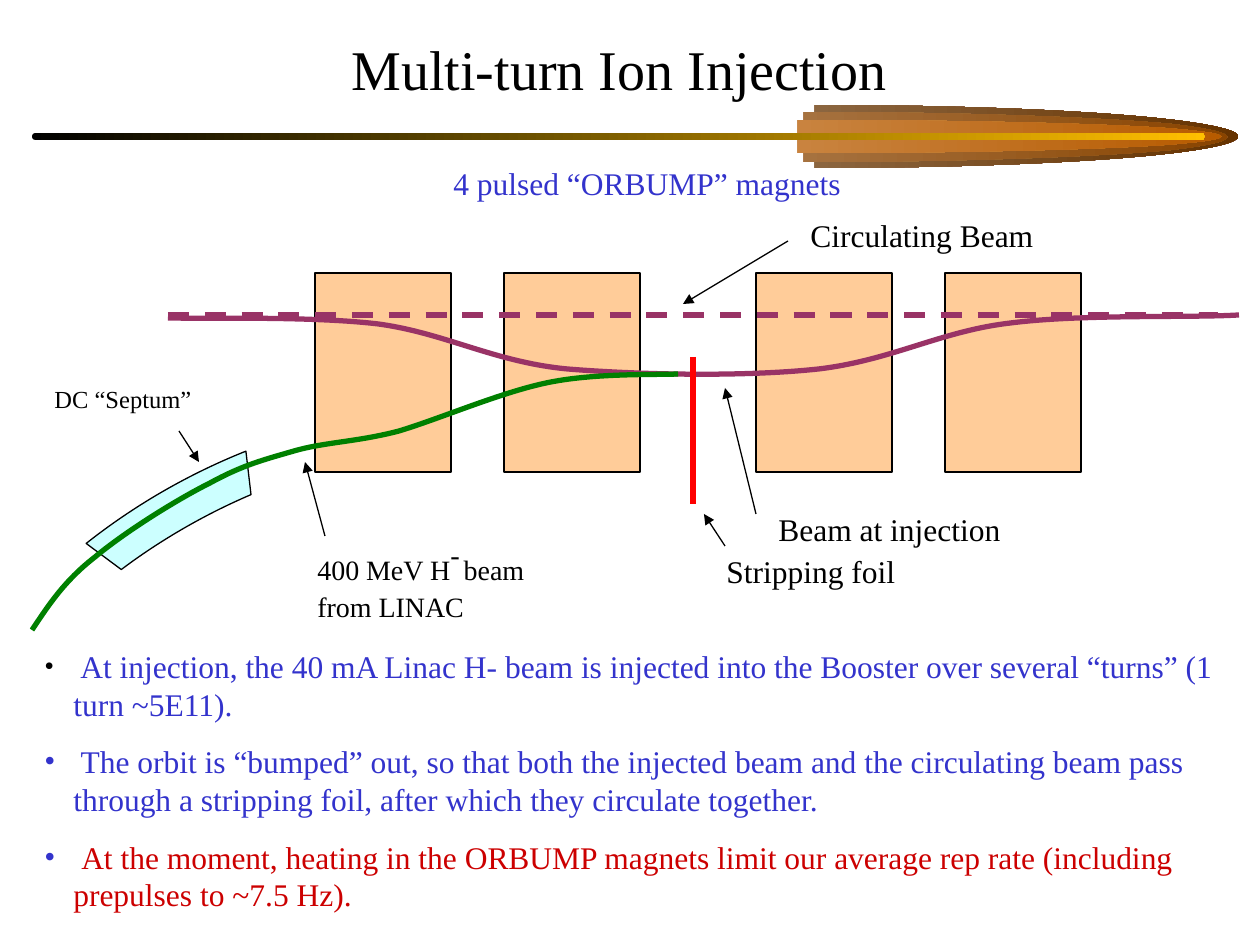
"""Build the multi-turn ion injection slide."""
from typing import NamedTuple

from lxml import etree
from pptx import Presentation, util as u
from pptx.dml.color import RGBColor
from pptx.enum import dml, shapes, text
from pptx.oxml.ns import qn

SCALE = 914400 / 126
FONT = "Times New Roman"
BLACK = RGBColor(0x00, 0x00, 0x00)
BLUE = RGBColor(0x33, 0x33, 0xCC)
RED = RGBColor(0xCC, 0x00, 0x00)
FOIL = RGBColor(0xFF, 0x00, 0x00)
PLUM = RGBColor(0x99, 0x33, 0x66)
GREEN = RGBColor(0x00, 0x80, 0x00)
PEACH = RGBColor(0xFF, 0xCC, 0x99)
CYAN = RGBColor(0xCC, 0xFF, 0xFF)
GOLD = RGBColor(0xFF, 0xBF, 0x00)

Point = tuple[int, int]


class Comet(NamedTuple):
    left: int
    top: int
    high: int
    pale: RGBColor
    dark: RGBColor


class Label(NamedTuple):
    words: str
    left: int
    top: int
    wide: int
    high: int
    size: int = 18
    color: RGBColor = BLACK


class Line(NamedTuple):
    start: Point
    end: Point
    color: RGBColor = BLACK
    width: float = 0.75
    dash: bool = False
    arrow: bool = True


class Bullet(NamedTuple):
    words: str
    color: RGBColor
    dot: RGBColor
    size: int = 18


COMETS = [
    Comet(815, 105, 63, RGBColor(0xB2, 0x99, 0x80), RGBColor(0x66, 0x33, 0x00)),
    Comet(804, 112, 50, RGBColor(0xC4, 0xA1, 0x80), RGBColor(0x89, 0x44, 0x00)),
    Comet(798, 120, 33, RGBColor(0xDB, 0xAD, 0x80), RGBColor(0xB7, 0x5B, 0x00)),
]
HALF = 424
EDGE = [(0, 0), (151, 0), (291, 0.1), (367, 0.25), (442, 0.42),
        (442, 0.58), (367, 0.75), (291, 0.9), (151, 1), (0, 1)]
MAGNETS = [315, 504, 756, 945]
BUMP = [(168, 318), (203, 319), (311, 316), (378, 324), (445, 333), (494, 362),
        (567, 369), (640, 375), (745, 377), (819, 369), (893, 360), (941, 331),
        (1011, 323), (1081, 314), (1191, 318), (1239, 315)]
LINAC = [(678, 374), (656, 375), (597, 373), (551, 382), (504, 391), (442, 418),
         (399, 431), (357, 442), (325, 442), (294, 451), (263, 460), (243, 465),
         (210, 483), (176, 500), (125, 532), (95, 557), (64, 581), (48, 606), (32, 630)]
LINES = [
    Line((693, 357), (693, 504), FOIL, 3, arrow=False),
    Line((168, 315), (1218, 315), PLUM, 3, dash=True, arrow=False),
    Line((788, 241), (683, 304)),
    Line((756, 514), (725, 388)),
    Line((325, 536), (305, 462)),
    Line((179, 431), (199, 462)),
    Line((725, 546), (704, 514)),
]
LABELS = [
    Label("Circulating Beam", 798, 210, 294, 50),
    Label("Beam at injection", 766, 504, 336, 50),
    Label("DC “Septum”", 42, 378, 168, 43, 14),
    Label("Stripping foil", 714, 546, 336, 50),
    Label("4 pulsed “ORBUMP” magnets", 441, 158, 420, 50, color=BLUE),
]
BULLETS = [
    Bullet("At injection, the 40 mA Linac H- beam is injected into the Booster "
           "over several “turns” (1 turn ~5E11).", BLUE, BLACK, 16),
    Bullet("The orbit is “bumped” out, so that both the injected beam and the circulating "
           "beam pass through a stripping foil, after which they circulate together.", BLUE, BLUE),
    Bullet("At the moment, heating in the ORBUMP magnets limit our average rep rate "
           "(including prepulses to ~7.5 Hz).", RED, BLUE),
]


def px(n: float) -> int:
    return round(n * SCALE)


def add_path(slide, knots: list[Point], close: bool = False):
    """Draw a chain of cubic Bezier curves."""
    pen = slide.shapes.build_freeform(*knots[0], scale=SCALE)
    pen.add_line_segments(knots[1:], close=close)
    item = pen.convert_to_shape()
    item.shadow.inherit = False
    legs = list(item._element.iter(qn("a:lnTo")))
    for i in range(0, len(knots) - 1, 3):
        curve = etree.SubElement(legs[i].getparent(), qn("a:cubicBezTo"))
        legs[i].addprevious(curve)
        for leg in legs[i:i + 3]:
            curve.append(leg[0])
            leg.getparent().remove(leg)
    return item


def add_curve(slide, knots: list[Point], color: RGBColor) -> None:
    item = add_path(slide, knots)
    item.fill.background()
    item.line.color.rgb = color
    item.line.width = u.Pt(3)


def fade(item, left: RGBColor, right: RGBColor) -> None:
    item.fill.gradient()
    item.fill.gradient_angle = 0
    for stop, color in zip(item.fill.gradient_stops, (left, right)):
        stop.color.rgb = color
    item.line.fill.background()


def add_comet(slide, c: Comet) -> None:
    """Draw the right half of an ellipse in a frame for the whole."""
    knots = [(c.left + x, c.top + round(y * c.high)) for x, y in EDGE]
    item = add_path(slide, knots, True)
    item.left, item.width = px(c.left - HALF), px(2 * HALF)
    for track in item._element.iter(qn("a:path")):
        track.set("w", str(2 * HALF))
        for spot in track.iter(qn("a:pt")):
            spot.set("x", str(int(spot.get("x")) + HALF))
    fade(item, c.pale, c.dark)


def add_shape(slide, kind, left: int, top: int, wide: int, high: int, color: RGBColor):
    item = slide.shapes.add_shape(kind, px(left), px(top), px(wide), px(high))
    item.shadow.inherit = False
    item.fill.solid()
    item.fill.fore_color.rgb = color
    item.line.color.rgb = BLACK
    item.line.width = u.Pt(0.75)
    return item


def add_line(slide, ln: Line) -> None:
    item = slide.shapes.add_connector(shapes.MSO_CONNECTOR.STRAIGHT,
                                      *map(px, ln.start + ln.end))
    item.line.color.rgb = ln.color
    item.line.width = u.Pt(ln.width)
    if ln.dash:
        item.line.dash_style = dml.MSO_LINE.DASH
    if ln.arrow:
        etree.SubElement(item.line._get_or_add_ln(), qn("a:tailEnd"), type="triangle")
    etree.SubElement(item._element.spPr, qn("a:effectLst"))


def set_font(font, size: int, color: RGBColor) -> None:
    font.name = FONT
    font.size = u.Pt(size)
    font.color.rgb = color


def add_label(slide, lb: Label):
    frame = slide.shapes.add_textbox(*map(px, lb[1:5])).text_frame
    frame.word_wrap = True
    para = frame.paragraphs[0]
    para.text = lb.words
    set_font(para.font, lb.size, lb.color)
    return frame


def add_raised(para, words: str, size: int) -> None:
    run = para.add_run()
    run.text = words
    run.font.size = u.Pt(size)
    run._r.get_or_add_rPr().set("baseline", "30000")


def add_bullets(slide, items: list[Bullet]) -> None:
    frame = slide.shapes.add_textbox(px(32), px(641), px(1197), px(280)).text_frame
    frame.word_wrap = True
    for i, item in enumerate(items):
        para = frame.add_paragraph() if i else frame.paragraphs[0]
        if i:
            para.space_before = u.Pt(11.2)
        props = para._p.get_or_add_pPr()
        props.set("marL", str(px(29)))
        props.set("indent", str(px(-29)))
        tint = etree.SubElement(props, qn("a:buClr"))
        etree.SubElement(tint, qn("a:srgbClr"), val=str(item.dot))
        etree.SubElement(props, qn("a:buFont"), typeface=FONT)
        etree.SubElement(props, qn("a:buChar"), char="•")
        for words, size, color in ((" ", item.size, item.dot), (item.words, 18, item.color)):
            run = para.add_run()
            run.text = words
            set_font(run.font, size, color)


def main() -> None:
    deck = Presentation()
    deck.slide_width, deck.slide_height = px(1260), px(945)
    slide = deck.slides.add_slide(deck.slide_layouts[6])
    kind = shapes.MSO_SHAPE
    for comet in COMETS:
        add_comet(slide, comet)
    streak = add_shape(slide, kind.ROUNDED_RECTANGLE, 32, 133, 1173, 7, GOLD)
    streak.adjustments[0] = 0.5
    fade(streak, BLACK, GOLD)
    septum = add_shape(slide, kind.BLOCK_ARC, -105, 462, 756, 441, CYAN)
    septum.rotation = 330
    for i, value in enumerate((148, 176, 0.096)):
        septum.adjustments[i] = value
    title = add_label(slide, Label("Multi-turn Ion Injection", 84, 21, 1071, 95, 32))
    title.vertical_anchor = text.MSO_ANCHOR.MIDDLE
    title.paragraphs[0].alignment = text.PP_ALIGN.CENTER
    for left in MAGNETS:
        add_shape(slide, kind.RECTANGLE, left, 273, 136, 199, PEACH)
    add_curve(slide, BUMP, PLUM)
    add_curve(slide, LINAC, GREEN)
    for line in LINES:
        add_line(slide, line)
    for label in LABELS:
        add_label(slide, label)
    para = add_label(slide, Label("400 MeV H", 305, 525, 252, 106, 16)).paragraphs[0]
    add_raised(para, "-", 28)
    add_raised(para, " ", 16)
    para.add_run().text = "beam from LINAC"
    add_bullets(slide, BULLETS)
    deck.save("out.pptx")


if __name__ == "__main__":
    main()
